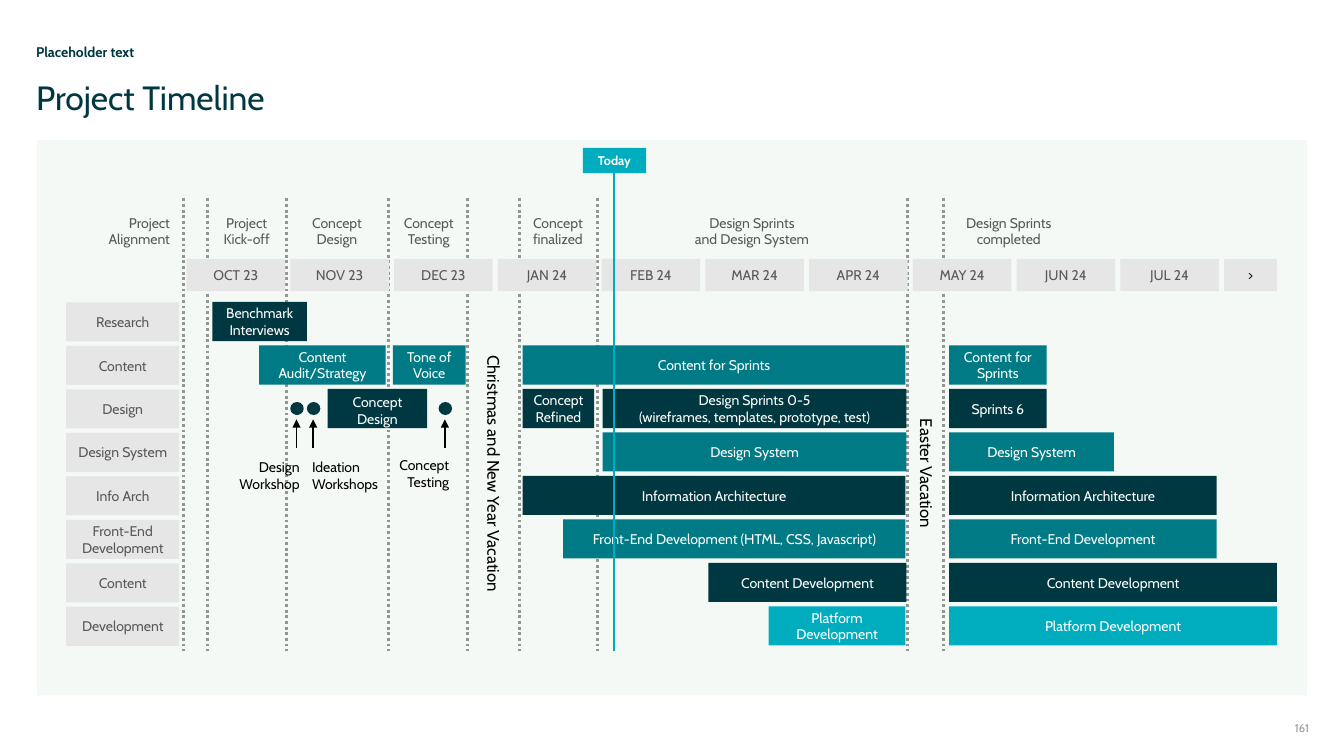
from pptx import Presentation
from pptx.dml.color import RGBColor
from pptx.enum.dml import MSO_LINE
from pptx.enum.shapes import MSO_CONNECTOR, MSO_SHAPE
from pptx.enum.text import MSO_ANCHOR as ANCHOR, PP_ALIGN as ALIGN
from pptx.oxml.ns import qn
from pptx.util import Inches, Pt
from lxml.etree import SubElement

DARK = RGBColor(0x00, 0x38, 0x41)
TEAL = RGBColor(0x00, 0x7B, 0x85)
CYAN = RGBColor(0x00, 0xAD, 0xBF)
PANEL = RGBColor(0xF5, 0xF9, 0xF6)
LABEL = RGBColor(0xE5, 0xE6, 0xE5)
MUTED = RGBColor(0x59, 0x59, 0x59)
GREY = RGBColor(0x93, 0x97, 0x93)
WHITE = RGBColor(0xFF, 0xFF, 0xFF)
BLACK = RGBColor(0x00, 0x00, 0x00)

LANES = [
    ("Research", DARK, [(0.25, 0.91, "Benchmark\nInterviews")]),
    ("Content", TEAL, [
        (0.7, 1.22, "Content Audit/Strategy"),
        (1.99, 0.7, "Tone of Voice"),
        (3.24, 3.69, "Content for Sprints"),
        (7.35, 0.94, "Content for Sprints")]),
    ("Design", DARK, [
        (3.24, 0.69, "Concept\nRefined"),
        (4.01, 2.93, "Design Sprints 0-5\n(wireframes, templates, prototype, test)"),
        (7.35, 0.94, "Sprints 6")]),
    ("Design System", TEAL, [
        (4.01, 2.93, "Design System"), (7.35, 1.59, "Design System")]),
    ("Info Arch", DARK, [
        (3.24, 3.69, "Information Architecture"),
        (7.35, 2.58, "Information Architecture")]),
    ("Front-End\nDevelopment", TEAL, [
        (3.63, 3.3, "Front-End Development (HTML, CSS, Javascript)"),
        (7.35, 2.58, "Front-End Development")]),
    ("Content", DARK, [
        (5.03, 1.91, "Content Development"), (7.35, 3.16, "Content Development")]),
    ("Development", CYAN, [
        (5.61, 1.32, "Platform Development"), (7.35, 3.16, "Platform Development")]),
]
MONTHS = ["OCT 23", "NOV 23", "DEC 23", "JAN 24", "FEB 24", "MAR 24",
          "APR 24", "MAY 24", "JUN 24", "JUL 24"]
PHASES = [
    (-0.89, 0.73, "Project\nAlignment", ALIGN.RIGHT),
    (0.3, 0.56, "Project\nKick-off", ALIGN.CENTER),
    (0.96, 0.98, "Concept\nDesign", ALIGN.CENTER),
    (1.96, 0.75, "Concept\nTesting", ALIGN.CENTER),
    (3.2, 0.76, "Concept\nfinalized", ALIGN.CENTER),
    (3.98, 2.94, "Design Sprints\nand Design System", ALIGN.CENTER),
    (7.49, 0.87, "Design Sprints completed", ALIGN.CENTER),
]
MILESTONES = [-0.03, 0.2, 0.96, 1.95, 2.71, 3.21, 3.96, 6.95, 7.3]
CALLOUTS = [
    (1.06, 0.37, 3.59, 0.72, "Design\nWorkshop", ALIGN.RIGHT),
    (1.22, 1.21, 3.59, 0.72, "Ideation\nWorkshops", ALIGN.LEFT),
    (2.49, 1.96, 3.55, 0.57, "Concept\nTesting", ALIGN.RIGHT),
]
VACATIONS = [
    (1.32, 3.45, 0.97, "Christmas and New Year Vacation"),
    (5.49, 3.69, 0.49, "Easter Vacation"),
]


def write(shape, text, size=10, color=MUTED, bold=False, align=ALIGN.CENTER,
          anchor=ANCHOR.MIDDLE, inset=(0, 0), spacing=None):
    frame = shape.text_frame
    frame.text = text
    frame.word_wrap = True
    frame.vertical_anchor = anchor
    frame.margin_left = frame.margin_right = Inches(inset[0])
    frame.margin_top = frame.margin_bottom = Inches(inset[1])
    for paragraph in frame.paragraphs:
        paragraph.alignment = align
        if spacing:
            paragraph.line_spacing = spacing
        font = paragraph.font
        font.name, font.size, font.bold = "Cabin", Pt(size), bold
        font.color.rgb = color


class Timeline:
    left, top = 1.85, 3.0
    month, lane = 1.029, 0.4314

    def __init__(self, slide):
        self.slide = slide

    def x(self, column):
        return Inches(self.left + column * self.month)

    def y(self, row):
        return Inches(self.top + row * self.lane)

    def area(self, column, row, columns, rows):
        return (self.x(column), self.y(row),
                Inches(columns * self.month), Inches(rows * self.lane))

    def title(self, area, text, **style):
        heading = self.slide.shapes.title
        heading.left, heading.top, heading.width, heading.height = self.area(*area)
        write(heading, text, **style)

    def block(self, area, fill, text="", kind=MSO_SHAPE.RECTANGLE, **style):
        block = self.slide.shapes.add_shape(kind, *self.area(*area))
        block.shadow.inherit = False
        block.fill.solid()
        block.fill.fore_color.rgb = fill
        block.line.fill.background()
        if text:
            write(block, text, **style)

    def text(self, area, text, rotation=0, **style):
        box = self.slide.shapes.add_textbox(*self.area(*area))
        box.rotation = rotation
        write(box, text, **style)

    def upright(self, column, start, end, color, width=2, dash=None, arrow=False):
        line = self.slide.shapes.add_connector(
            MSO_CONNECTOR.STRAIGHT, self.x(column), self.y(start),
            self.x(column), self.y(end))
        line.line.color.rgb = color
        line.line.width = Pt(width)
        if dash:
            line.line.dash_style = dash
        properties = line.element.spPr
        if arrow:
            SubElement(properties.find(qn("a:ln")), qn("a:headEnd"), type="triangle")
        SubElement(properties, qn("a:effectLst"))


def main():
    deck = Presentation()
    deck.slide_width, deck.slide_height = Inches(13.33), Inches(7.5)
    plan = Timeline(deck.slides.add_slide(deck.slide_layouts[5]))
    heading = dict(color=DARK, align=ALIGN.LEFT, anchor=ANCHOR.TOP, spacing=0.9)
    roomy = (0.1, 0.05)

    plan.text((-1.45, -5.91, 12.25, 0.35), "Placeholder text", bold=True, **heading)
    plan.title((-1.45, -5.08, 12.25, 0.86), "Project Timeline", size=24, **heading)
    plan.text((10.09, 9.64, 0.73, 0.35), "161", size=8, color=GREY,
              align=ALIGN.RIGHT, anchor=ANCHOR.TOP)
    plan.block((-1.44, -3.73, 12.24, 12.77), PANEL)

    for column in MILESTONES:
        plan.upright(column, -2.39, 8.02, GREY, dash=MSO_LINE.ROUND_DOT)
    for column, columns, phase, align in PHASES:
        plan.text((column, -2.04, columns, 0.79), phase, align=align)
    for column, month in enumerate(MONTHS):
        plan.block((column, -1, 0.95, 0.74), LABEL, month, inset=roomy)
    plan.block((len(MONTHS), -1, 0.51, 0.74), LABEL, ">", color=BLACK, inset=roomy)

    for row, (lane, color, tasks) in enumerate(LANES):
        plan.block((-1.16, row, 1.09, 0.9), LABEL, lane, inset=(0.08, 0.05))
        for column, columns, task in tasks:
            side = 0.04 if columns < 0.7 else 0.1
            plan.block((column, row - 0.01, columns, 0.9), color, task,
                       color=WHITE, inset=(side, 0.05))
    plan.block((1.36, 1.99, 0.96, 0.9), DARK, "Concept\nDesign", color=WHITE,
               anchor=ANCHOR.TOP, inset=roomy)

    for center, column, row, columns, event, align in CALLOUTS:
        plan.block((center - 0.06, 2.29, 0.13, 0.3), DARK, kind=MSO_SHAPE.OVAL)
        plan.upright(center, 2.69, 3.36, BLACK, width=1, arrow=True)
        plan.text((column, row, columns, 0.67), event, color=BLACK,
                  align=align, anchor=ANCHOR.TOP)
    for column, row, rows, vacation in VACATIONS:
        plan.text((column, row, 3.29, rows), vacation, rotation=90,
                  size=12, color=BLACK, inset=roomy)

    plan.upright(4.12, -2.97, 8.02, CYAN)
    plan.block((3.82, -3.55, 0.61, 0.58), CYAN, "Today", size=9, color=WHITE, bold=True)
    deck.save("out.pptx")


if __name__ == "__main__":
    main()
